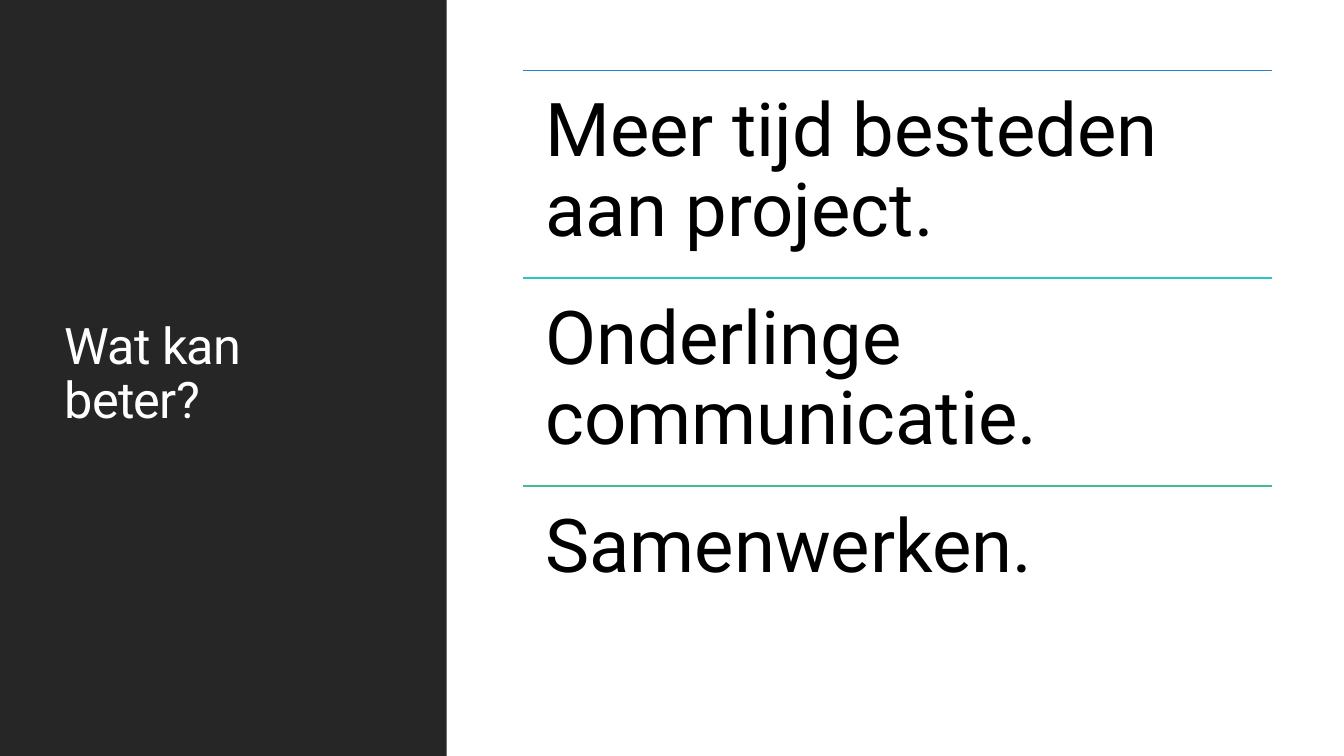
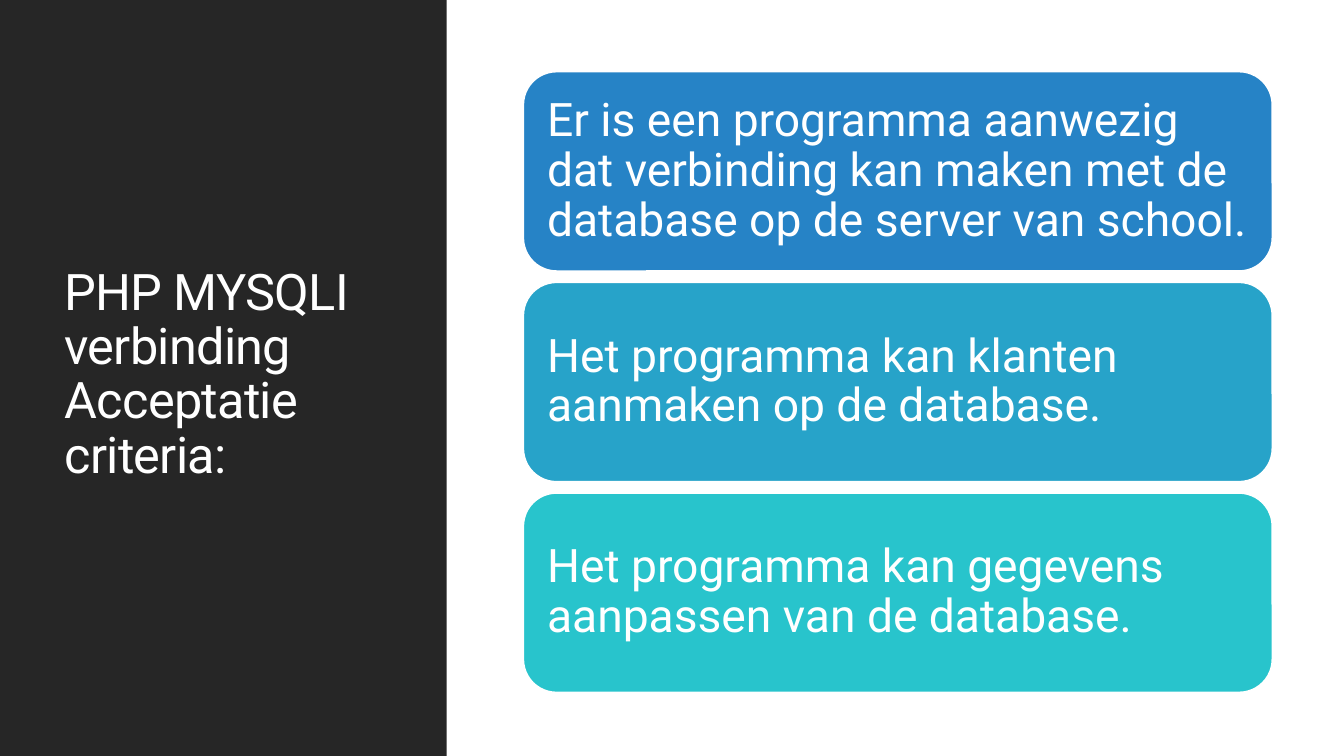
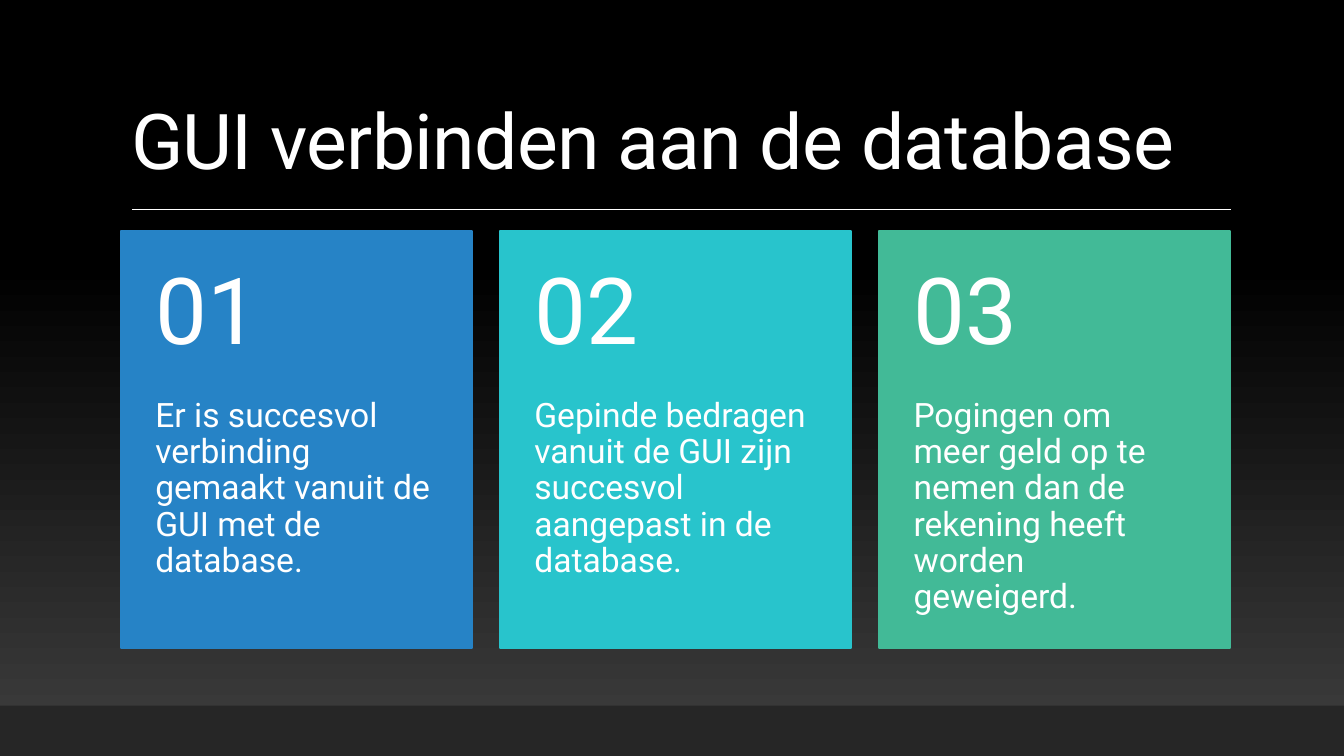
from lxml.etree import SubElement
from pptx import Presentation
from pptx.dml.color import RGBColor
from pptx.enum.shapes import MSO_CONNECTOR, MSO_SHAPE
from pptx.enum.text import MSO_ANCHOR as ANCHOR, MSO_AUTO_SIZE, PP_ALIGN
from pptx.oxml.ns import qn
from pptx.util import Pt

EMU_PER_PX = 9144
SLIDE_W, SLIDE_H = 1333, 750
FONT = "Roboto"
WHITE, BLACK, DARK, GREY = "FFFFFF", "000000", "262626", "3F3F3F"
BLUE, SKY, TEAL, GREEN = "2683C6", "27A3C9", "28C4CC", "42BA97"
TITLE_ONLY = 5
LIST_LEFT, LIST_W = 519, 743


def px(*lengths):
    return [length * EMU_PER_PX for length in lengths]


def rgb(hex_color):
    return RGBColor.from_string(hex_color)


def format_text(shape, text, size, color, insets=(10, 5, 10, 5), anchor=ANCHOR.TOP):
    frame = shape.text_frame
    frame.text = text
    frame.word_wrap = True
    frame.auto_size = MSO_AUTO_SIZE.NONE
    frame.vertical_anchor = anchor
    (frame.margin_left, frame.margin_top,
     frame.margin_right, frame.margin_bottom) = px(*insets)
    for paragraph in frame.paragraphs:
        paragraph.alignment = PP_ALIGN.LEFT
        paragraph.line_spacing = 0.9
        for run in paragraph.runs:
            run.font.name = FONT
            run.font.size = Pt(size)
            run.font.color.rgb = rgb(color)


def add_box(slide, box, fill, outline=None, preset=MSO_SHAPE.RECTANGLE):
    shape = slide.shapes.add_shape(preset, *px(*box))
    shape.shadow.inherit = False
    shape.fill.solid()
    shape.fill.fore_color.rgb = rgb(fill)
    if outline:
        shape.line.color.rgb = rgb(outline)
        shape.line.width = Pt(1.25)
    else:
        shape.line.fill.background()
    return shape


def add_label(slide, box, text, size, color, insets, anchor=ANCHOR.TOP):
    label = slide.shapes.add_textbox(*px(*box))
    format_text(label, text, size, color, insets, anchor)


def add_rule(slide, left, right, y, color, width):
    rule = slide.shapes.add_connector(MSO_CONNECTOR.STRAIGHT, *px(left, y, right, y))
    rule.line.color.rgb = rgb(color)
    rule.line.width = Pt(width)
    SubElement(rule.element.spPr, qn("a:effectLst"))


def set_title(slide, box, text, size, anchor):
    title = slide.shapes.title
    title.element.getparent().append(title.element)
    title.left, title.top, title.width, title.height = px(*box)
    format_text(title, text, size, WHITE, anchor=anchor)
    for paragraph in title.text_frame.paragraphs:
        for run in paragraph.runs:
            run.font._element.set("spc", "-50")
        for line_break in paragraph._p.findall(qn("a:br")):
            SubElement(line_break, qn("a:rPr"), sz=str(size * 100))


def add_slide(deck):
    return deck.slides.add_slide(deck.slide_layouts[TITLE_ONLY])


def add_panel_slide(deck, title):
    slide = add_slide(deck)
    add_box(slide, (0, 0, 443, SLIDE_H), DARK)
    set_title(slide, (54, 57, 337, 631), title, 36, ANCHOR.MIDDLE)
    return slide


def add_improvements(deck):
    slide = add_panel_slide(deck, "Wat kan beter?")
    points = [
        (BLUE, "Meer tijd besteden aan project."),
        (TEAL, "Onderlinge communicatie."),
        (GREEN, "Samenwerken."),
    ]
    row_h = 206
    for row, (color, point) in enumerate(points):
        top = 70 + row * row_h
        add_rule(slide, LIST_LEFT, LIST_LEFT + LIST_W, top, color, 1.25)
        add_label(slide, (LIST_LEFT, top, LIST_W, row_h), point, 53, BLACK, (22,) * 4)


def add_criteria(deck):
    slide = add_panel_slide(deck, "PHP MYSQLI verbinding\vAcceptatie criteria:")
    criteria = [
        (BLUE, "Er is een programma aanwezig dat verbinding kan maken met de "
               "database op de server van school."),
        (SKY, "Het programma kan klanten aanmaken op de database."),
        (TEAL, "Het programma kan gegevens aanpassen van de database."),
    ]
    for row, (color, criterion) in enumerate(criteria):
        card = add_box(slide, (LIST_LEFT, 71 + row * 209, LIST_W, 198), color, WHITE,
                       MSO_SHAPE.ROUNDED_RECTANGLE)
        format_text(card, criterion, 33, WHITE, (14,) * 4, ANCHOR.MIDDLE)


def set_gradient_background(slide):
    fill = slide.background.fill
    fill.gradient()
    fill.gradient_angle = 90
    for stop, position, color in zip(fill.gradient_stops, (0, 0.65), (GREY, BLACK)):
        stop.position = position
        stop.color.rgb = rgb(color)


def add_gui_results(deck):
    slide = add_slide(deck)
    set_gradient_background(slide)
    set_title(slide, (120, 31, 1100, 159), "GUI verbinden aan de database", 55,
              ANCHOR.BOTTOM)
    add_rule(slide, 131, 1221, 208, WHITE, 1)
    add_box(slide, (0, 700, SLIDE_W, 50), DARK)
    results = [
        (BLUE, "Er is succesvol verbinding gemaakt vanuit de GUI met de database."),
        (TEAL, "Gepinde bedragen vanuit de GUI zijn succesvol aangepast in de database."),
        (GREEN, "Pogingen om meer geld op te nemen dan de rekening heeft worden "
                "geweigerd."),
    ]
    top, card_w, number_h, result_h = 229, 348, 166, 248
    for column, (color, result) in enumerate(results):
        left = 120 + column * 376
        add_box(slide, (left, top, card_w, number_h + result_h), color, color)
        add_label(slide, (left, top + number_h, card_w, result_h), result, 24, WHITE,
                  (34, 0, 34, 36))
        add_label(slide, (left, top, card_w, number_h), f"{column + 1:02}", 66, WHITE,
                  (34, 18, 34, 18), ANCHOR.MIDDLE)


def main():
    deck = Presentation()
    deck.slide_width, deck.slide_height = px(SLIDE_W, SLIDE_H)
    add_improvements(deck)
    add_criteria(deck)
    add_gui_results(deck)
    deck.save("out.pptx")


if __name__ == "__main__":
    main()
